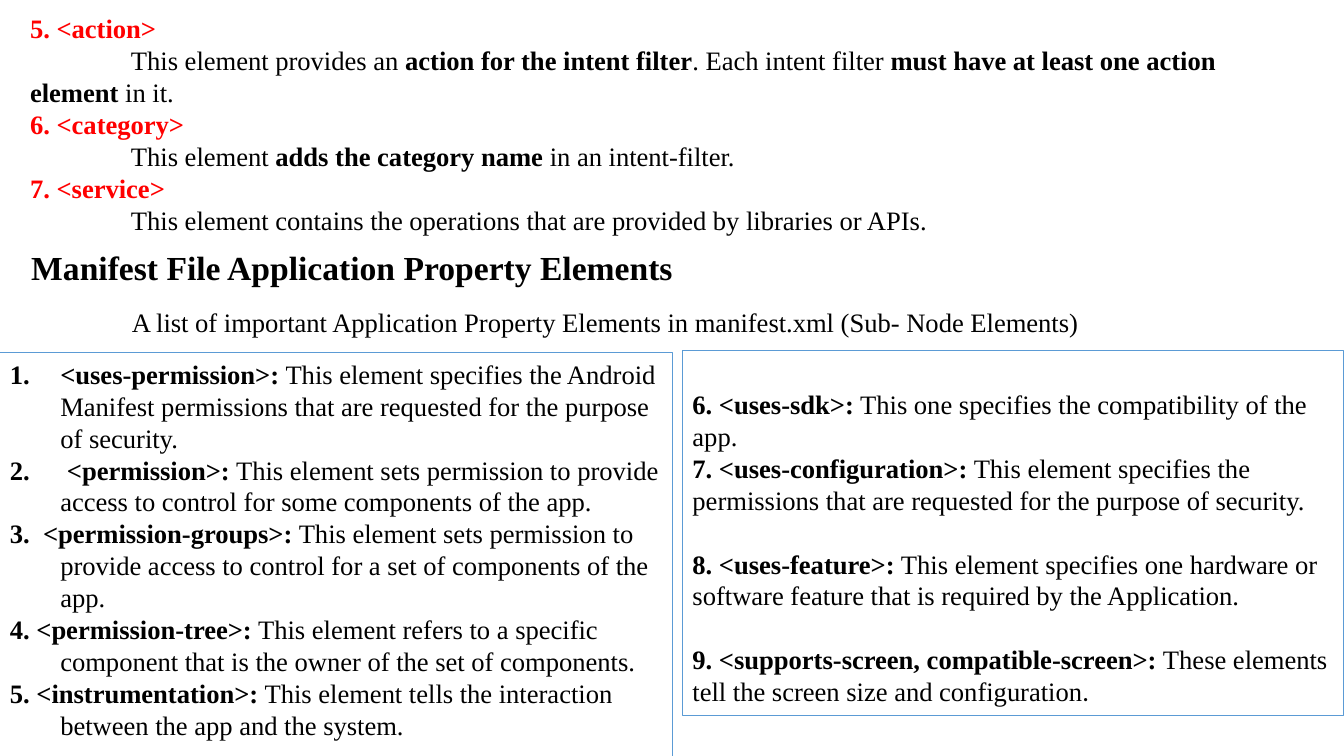
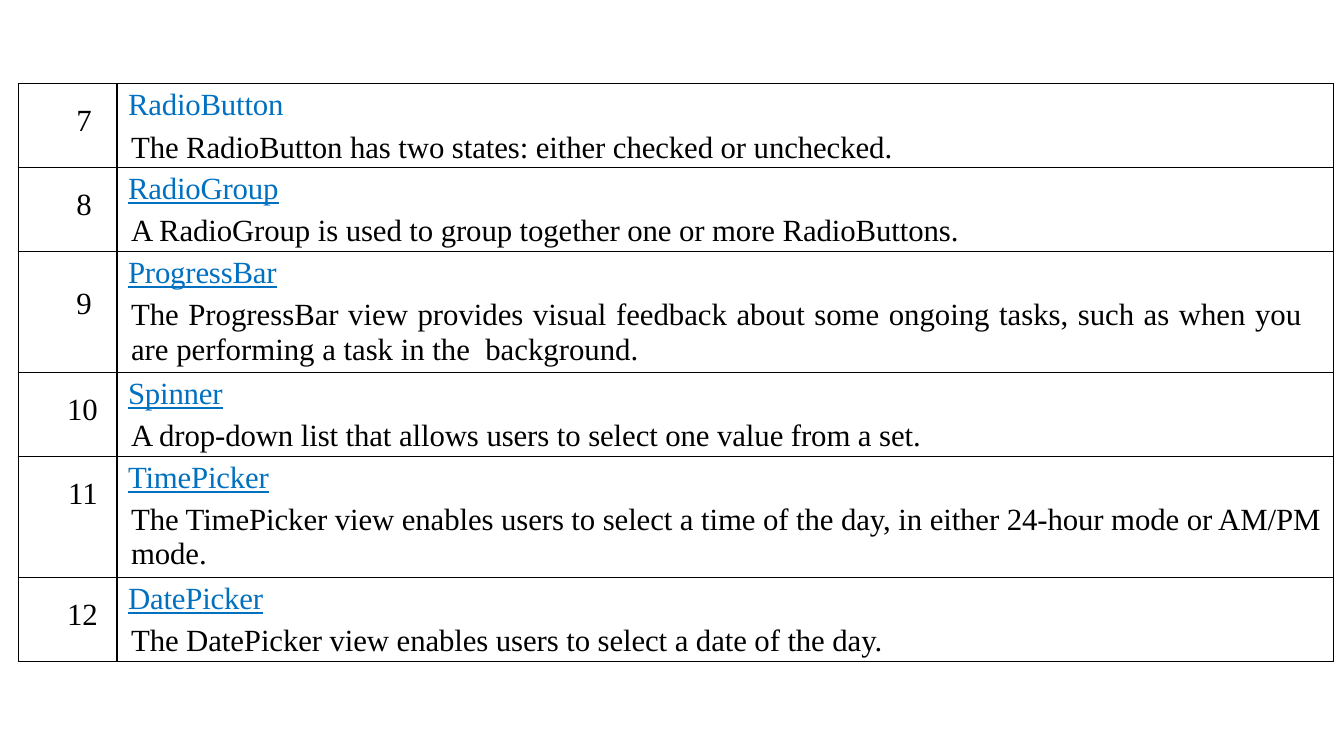
"""Build two slides on manifest elements and view controls."""
from lxml import etree
from pptx import Presentation
from pptx.dml.color import RGBColor
from pptx.enum.shapes import MSO_SHAPE
from pptx.enum.text import MSO_ANCHOR, PP_ALIGN
from pptx.oxml.ns import qn
from pptx.util import Inches, Pt

RECTANGLE = MSO_SHAPE.RECTANGLE
TOP = MSO_ANCHOR.TOP
LEFT, RIGHT, JUSTIFY = PP_ALIGN.LEFT, PP_ALIGN.RIGHT, PP_ALIGN.JUSTIFY
COLORS = {"text": "000000", "tag": "FF0000", "border": "5B9BD5", "link": "0070C0"}
FONT = "Times New Roman"
TITLE_ONLY, BLANK = 5, 6
BODY_SIZE, TITLE_SIZE, TABLE_SIZE = 19, 24, 22
TIGHT_LINE = Pt(13.9)

FILTER_ELEMENTS = [
    ("5. <action>", "This element provides an **action for the intent filter**. Each intent "
     "filter **must have at least one action element** in it."),
    ("6. <category>", "This element **adds the category name** in an intent-filter."),
    ("7. <service>", "This element contains the operations that are provided by libraries or APIs."),
]
PERMISSION_ELEMENTS = [
    "**<uses-permission>:** This element specifies the Android Manifest permissions that are "
    "requested for the purpose of security.",
    "** <permission>:** This element sets permission to provide access to control for some "
    "components of the app.",
    "**3.  <permission-groups>:** This element sets permission to provide access to control "
    "for a set of components of the app.",
    "**4. <permission-tree>:** This element refers to a specific component that is the owner "
    "of the set of components.",
    "**5. <instrumentation>:** This element tells the interaction between the app and the system.",
]
NUMBERED_COUNT = 2
DEVICE_ELEMENTS = [
    ("**6. <uses-sdk>:** This one specifies the compatibility of the app.", 0),
    ("**7. <uses-configuration>:** This element specifies the permissions that are requested "
     "for the purpose of security.", 0),
    ("**8. <uses-feature>:** This element specifies one hardware or software feature that is "
     "required by the Application.", 22.7),
    ("**9. <supports-screen, compatible-screen>:** These elements tell the screen size and "
     "configuration", 22.7),
]
VIEWS = [
    ("7", "RadioButton", "The RadioButton has two states: either checked or unchecked.", 0.8),
    ("8", "RadioGroup", "A RadioGroup is used to group together one or more RadioButtons.", 0.8),
    ("9", "ProgressBar", "The ProgressBar view provides visual feedback about some ongoing tasks, "
     "such as when you are performing a task in the  background.", 1.18),
    ("10", "Spinner", "A drop-down list that allows users to select one value from a set.", 0.8),
    ("11", "TimePicker", "The TimePicker view enables users to select a time of the day, in either "
     "24-hour mode or AM/PM mode.", 1.19),
    ("12", "DatePicker", "The DatePicker view enables users to select a date of the day.", 0.8),
]


def add_run(paragraph, text, size=BODY_SIZE, color="text", bold=False, underline=False,
            font=FONT, spacing=0):
    """Add one formatted run to a paragraph."""
    run = paragraph.add_run()
    run.text = text
    run.font.name, run.font.size = font, Pt(size)
    run.font.bold, run.font.underline = bold, underline
    run.font.color.rgb = RGBColor.from_string(COLORS[color])
    if spacing:
        run.font._element.set("spc", str(spacing))


def add_text(frame, text, margin=0, indent=0, numbered=False, align=LEFT, before=0,
             line_spacing=1.0, **run_format):
    """Add a paragraph to a frame; double asterisks switch bold on and off."""
    paragraph = frame.paragraphs[0]
    if paragraph.runs:
        paragraph = frame.add_paragraph()
    properties = paragraph._p.get_or_add_pPr()
    properties.set("marL", str(Inches(margin)))
    properties.set("indent", str(Inches(indent)))
    if numbered:
        etree.SubElement(properties, qn("a:buFont"), typeface="+mj-lt")
        etree.SubElement(properties, qn("a:buAutoNum"), type="arabicPeriod")
    paragraph.alignment = align
    paragraph.space_before = Pt(before)
    paragraph.line_spacing = line_spacing
    bold = run_format.pop("bold", False)
    for index, part in enumerate(text.split("**")):
        if part:
            add_run(paragraph, part, bold=bold or index % 2 == 1, **run_format)
    return paragraph


def add_text_box(slide, left, top, width, height):
    """Add a wrapping text box and return its frame."""
    frame = slide.shapes.add_textbox(*map(Inches, (left, top, width, height))).text_frame
    frame.word_wrap = True
    return frame


def add_panel(slide, left, top, width, height, margin_top=0.05):
    """Add an outlined panel and return its frame."""
    panel = slide.shapes.add_shape(RECTANGLE, *map(Inches, (left, top, width, height)))
    panel.shadow.inherit = False
    panel.fill.background()
    panel.line.color.rgb = RGBColor.from_string(COLORS["border"])
    panel.line.width = Pt(0.75)
    frame = panel.text_frame
    frame.word_wrap = True
    frame.vertical_anchor = TOP
    frame.margin_top = Inches(margin_top)
    return frame


def place_title(slide, text, left, top, width, height):
    """Move the title placeholder and fill it."""
    title = slide.shapes.title
    title.left, title.top, title.width, title.height = map(Inches, (left, top, width, height))
    title.text_frame.vertical_anchor = TOP
    add_text(title.text_frame, text, size=TITLE_SIZE, bold=True)


def build_manifest_slide(presentation):
    """Build the slide of manifest elements."""
    slide = presentation.slides.add_slide(presentation.slide_layouts[TITLE_ONLY])
    filters = add_text_box(slide, 0.2, 0.07, 12.71, 2.35)
    for tag, description in FILTER_ELEMENTS:
        add_text(filters, tag, color="tag", bold=True)
        add_text(filters, description, indent=1)
    place_title(slide, "Manifest File Application Property Elements", 0.21, 2.4, 10.7, 0.5)
    subtitle = add_text_box(slide, 0.21, 2.99, 10.7, 0.42)
    add_text(subtitle, "A list of important Application Property Elements in manifest.xml "
             "(Sub- Node Elements)", indent=1)
    permissions = add_panel(slide, 0, 3.5, 6.67, 4.26)
    for index, text in enumerate(PERMISSION_ELEMENTS):
        add_text(permissions, text, margin=0.5, indent=-0.5, numbered=index < NUMBERED_COUNT)
    devices = add_panel(slide, 6.77, 3.48, 6.56, 3.62, margin_top=0.37)
    for text, before in DEVICE_ELEMENTS:
        paragraph = add_text(devices, text, before=before)
    add_run(paragraph, ".", font="Calibri")


def format_cell(cell, margin_top, margin_right=0):
    """Give a cell black borders, no fill and its margins; return its frame."""
    properties = cell._tc.get_or_add_tcPr()
    for side in ("lnL", "lnR", "lnT", "lnB"):
        line = etree.SubElement(properties, qn(f"a:{side}"), w=str(Pt(1)))
        fill = etree.SubElement(line, qn("a:solidFill"))
        etree.SubElement(fill, qn("a:srgbClr"), val=COLORS["text"])
    cell.fill.background()
    cell.vertical_anchor = TOP
    cell.margin_left = cell.margin_bottom = 0
    cell.margin_top, cell.margin_right = Inches(margin_top), Inches(margin_right)
    return cell.text_frame


def add_view_table(slide, left, top, column_widths):
    """Add the table of numbered views."""
    height = sum(view[-1] for view in VIEWS)
    table = slide.shapes.add_table(len(VIEWS), len(column_widths), *map(
        Inches, (left, top, sum(column_widths), height))).table
    table.first_row = table.horz_banding = False
    for column, width in zip(table.columns, column_widths):
        column.width = Inches(width)
    for index, (number, name, description, row_height) in enumerate(VIEWS):
        table.rows[index].height = Inches(row_height)
        tall = number == "9"
        number_frame = format_cell(table.cell(index, 0), 0.35, 0.25 if len(number) == 1 else 0.19)
        add_text(number_frame, number, align=RIGHT, size=TABLE_SIZE,
                 line_spacing=1.0 if tall else TIGHT_LINE)
        view_frame = format_cell(table.cell(index, 1), 0.19, 0.32 if tall else 0)
        add_text(view_frame, name, margin=0.11, line_spacing=TIGHT_LINE, size=TABLE_SIZE,
                 color="link", underline=index > 0, spacing=-10)
        add_text(view_frame, description, margin=0.14, before=6, size=TABLE_SIZE,
                 align=JUSTIFY if tall else LEFT, spacing=0 if tall else -5)


def build_views_slide(presentation):
    """Build the slide with the table of views."""
    slide = presentation.slides.add_slide(presentation.slide_layouts[BLANK])
    add_view_table(slide, 0.18, 0.83, (0.98, 12.07))


def main():
    """Build and save the presentation."""
    presentation = Presentation()
    presentation.slide_width, presentation.slide_height = Inches(13.33), Inches(7.5)
    build_manifest_slide(presentation)
    build_views_slide(presentation)
    presentation.save("out.pptx")


if __name__ == "__main__":
    main()
